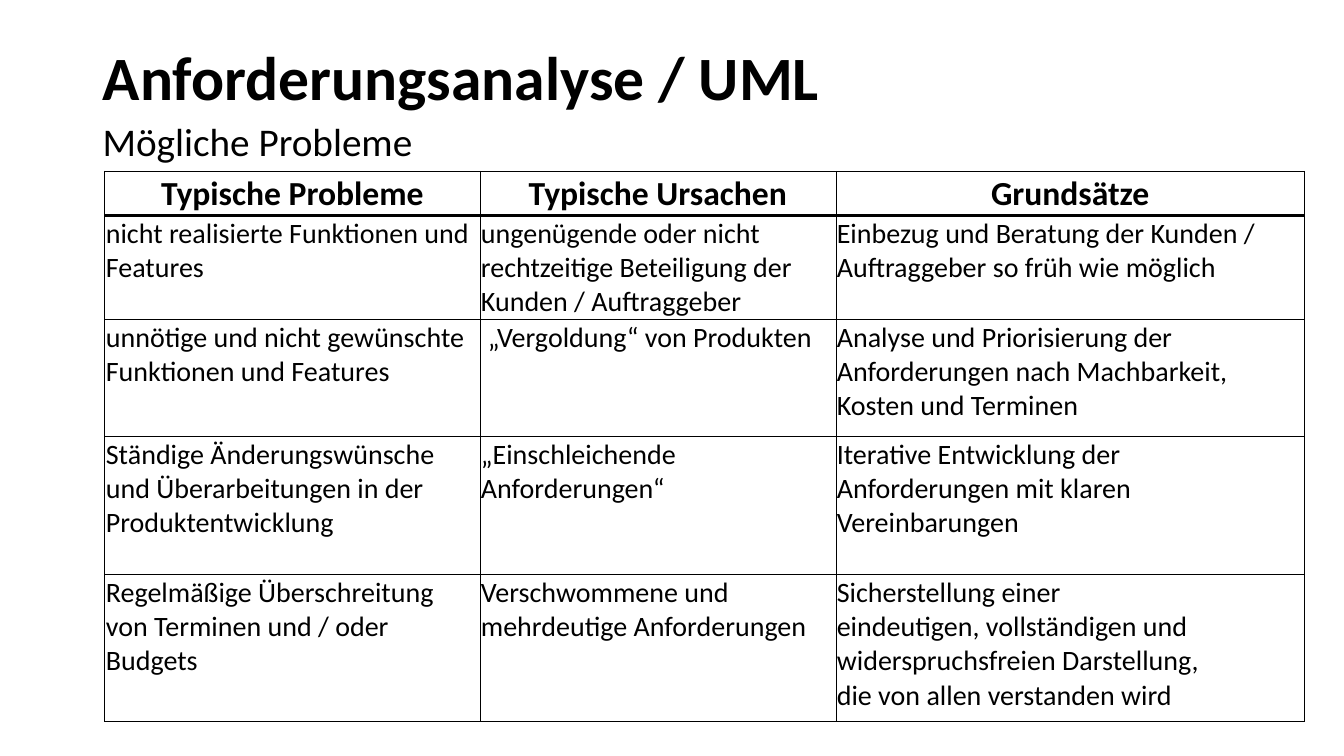
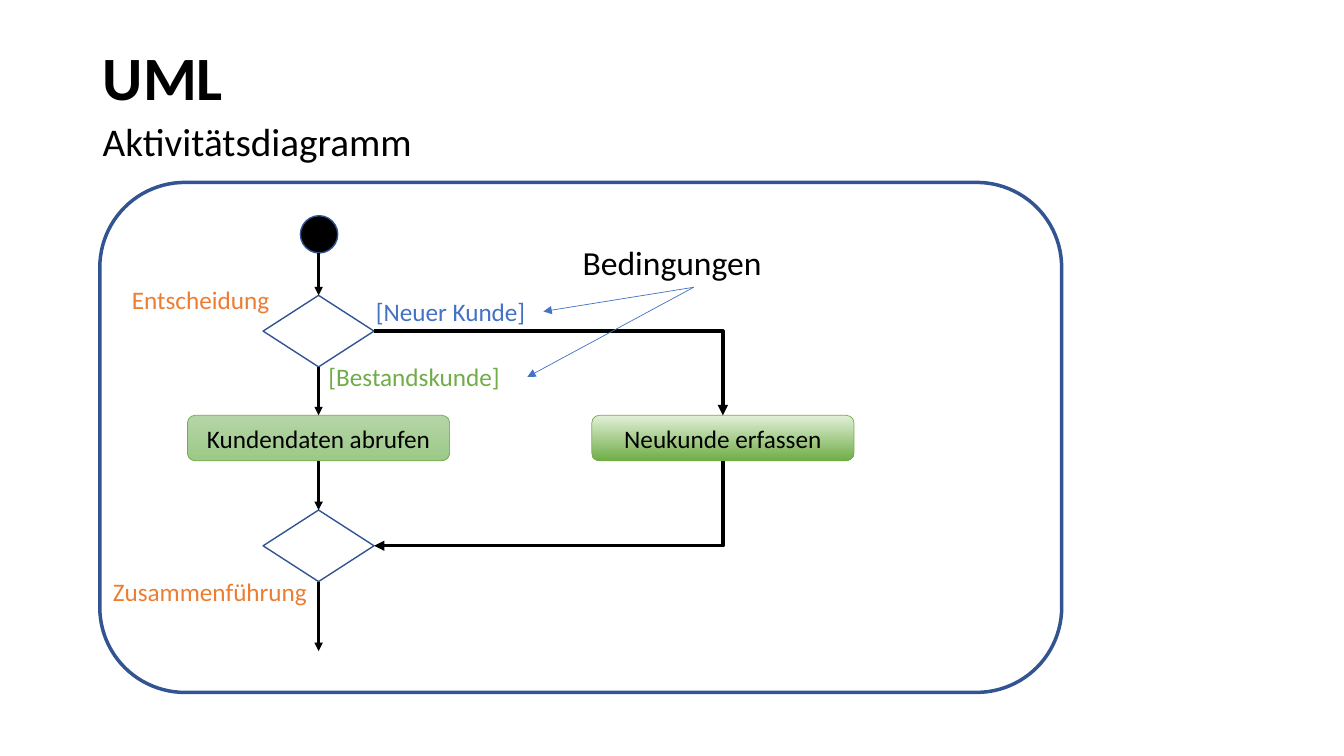
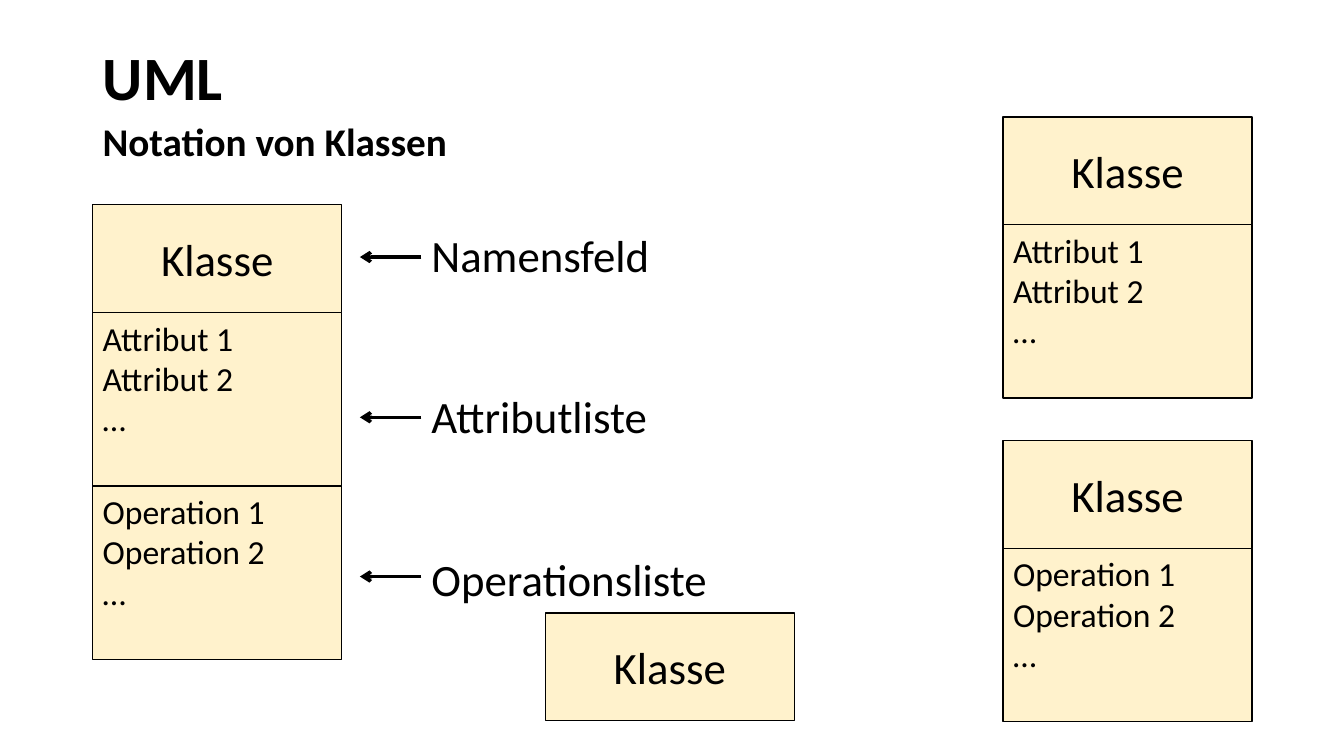
from dataclasses import dataclass
from typing import NamedTuple

from pptx import Presentation
from pptx.dml.color import RGBColor
from pptx.enum import shapes, text
from pptx.oxml.ns import qn
from pptx.util import Pt
from lxml import etree

PX = 9144  # EMU per px, 100 px to the inch


@dataclass(frozen=True)
class Theme:
    font: str = "Calibri"
    ink: str = "000000"
    outline: str = "325491"
    blue: str = "4472C4"
    orange: str = "ED7D31"
    green: str = "70AD47"
    cream: str = "FFF2CC"
    soft_gradient: tuple[str, str] = ("B5D5A7", "9CC987")
    strong_gradient: tuple[str, str] = ("E2F0D9", "70AD47")
    title: int = 44
    large: int = 32
    subtitle: int = 28
    medium: int = 24
    cell: int = 20
    small: int = 18


THEME = Theme()
SHAPE = shapes.MSO_SHAPE
ALIGN = text.PP_ALIGN
ANCHOR = text.MSO_ANCHOR


class Box(NamedTuple):
    left: int
    top: int
    width: int
    height: int

    def emu(self) -> list[int]:
        return [side * PX for side in self]


class Label(NamedTuple):
    wording: str
    box: Box
    color: str = THEME.ink
    size: int = THEME.small


class Arrow(NamedTuple):
    start: tuple[int, int]
    end: tuple[int, int]
    color: str = THEME.ink
    width: float = 2
    head: str = "triangle"


class ClassBox(NamedTuple):
    left: int
    top: int
    members: tuple[str, ...] = ()


class Pointer(NamedTuple):
    wording: str
    label_top: int
    arrow_y: int


# Shared drawing functions
def assign(target, values: dict) -> None:
    for name, value in values.items():
        setattr(target, name, value)


def write(frame, lines: list[str], size: int, color: str = THEME.ink, bold: bool = False,
          align=ALIGN.LEFT, anchor=ANCHOR.TOP, spacing: float = 1.0) -> None:
    assign(frame, {"word_wrap": True, "auto_size": text.MSO_AUTO_SIZE.NONE,
                   "vertical_anchor": anchor})
    fill_paragraphs(frame, lines, size, color, bold, align, spacing)


def fill_paragraphs(frame, lines: list[str], size: int, color: str = THEME.ink,
                    bold: bool = False, align=ALIGN.LEFT, spacing: float = 1.0) -> None:
    frame.text = "\n".join(lines)
    for paragraph in frame.paragraphs:
        assign(paragraph, {"alignment": align, "line_spacing": spacing})
        for run in paragraph.runs:
            assign(run.font, {"name": THEME.font, "size": Pt(size), "bold": bold})
            run.font.color.rgb = RGBColor.from_string(color)


def add_label(slide, label: Label, **layout) -> None:
    caption = slide.shapes.add_textbox(*label.box.emu())
    write(caption.text_frame, [label.wording], label.size, label.color, **layout)


def add_titled_slide(deck, title: str, subtitle: str, bold_subtitle: bool = False):
    slide = deck.slides.add_slide(deck.slide_layouts[5])
    heading = slide.shapes.title
    assign(heading, dict(zip(("left", "top", "width", "height"),
                             Box(92, 40, 1150, 80).emu())))
    write(heading.text_frame, [title], THEME.title, bold=True,
          anchor=ANCHOR.MIDDLE, spacing=0.9)
    add_label(slide, Label(subtitle, Box(92, 120, 1150, 50), size=THEME.subtitle),
              bold=bold_subtitle, spacing=0.8)
    return slide


def add_outlined(slide, kind, box: Box, line: str, width: float, fill: str | None = None):
    shape = slide.shapes.add_shape(kind, *box.emu())
    shape.shadow.inherit = False
    shape.line.color.rgb = RGBColor.from_string(line)
    shape.line.width = Pt(width)
    if fill:
        shape.fill.solid()
        shape.fill.fore_color.rgb = RGBColor.from_string(fill)
    else:
        shape.fill.background()
    return shape


def add_arrow(slide, arrow: Arrow, kind=shapes.MSO_CONNECTOR.STRAIGHT, at_start: bool = False):
    ends = [value * PX for value in (*arrow.start, *arrow.end)]
    connector = slide.shapes.add_connector(kind, *ends)
    connector.line.color.rgb = RGBColor.from_string(arrow.color)
    connector.line.width = Pt(arrow.width)
    tip = "a:headEnd" if at_start else "a:tailEnd"
    etree.SubElement(connector.line._get_or_add_ln(), qn(tip), type=arrow.head)
    etree.SubElement(connector._element.spPr, qn("a:effectLst"))
    return connector


# Slide 1: table of problems
COLUMNS = (372, 353, 465)
ROWS = (44, 103, 116, 137, 146)
PROBLEMS = (
    ("Typische Probleme", "Typische Ursachen", "Grundsätze"),
    ("nicht realisierte Funktionen und Features",
     "ungenügende oder nicht rechtzeitige Beteiligung der Kunden / Auftraggeber",
     "Einbezug und Beratung der Kunden / Auftraggeber so früh wie möglich"),
    ("unnötige und nicht gewünschte Funktionen und Features",
     "„Vergoldung“ von Produkten",
     "Analyse und Priorisierung der Anforderungen nach Machbarkeit, Kosten und Terminen"),
    ("Ständige Änderungswünsche\vund Überarbeitungen in der\vProduktentwicklung",
     "„Einschleichende\vAnforderungen“",
     "Iterative Entwicklung der\vAnforderungen mit klaren\vVereinbarungen"),
    ("Regelmäßige Überschreitung\vvon Terminen und / oder\vBudgets",
     "Verschwommene und\vmehrdeutige Anforderungen",
     "Sicherstellung einer\veindeutigen, vollständigen und\vwiderspruchsfreien Darstellung,\v"
     "die von allen verstanden wird"),
)


def add_border(cell, side: str, width: float) -> None:
    edge = etree.SubElement(cell._tc.get_or_add_tcPr(), qn(f"a:ln{side}"), w=str(Pt(width)))
    solid = etree.SubElement(edge, qn("a:solidFill"))
    etree.SubElement(solid, qn("a:srgbClr"), val=THEME.ink)


def format_cell(cell, wording: str, row: int, column: int) -> None:
    header = row == 0
    assign(cell, {"margin_left": PX, "margin_right": PX, "margin_top": PX, "margin_bottom": 0,
                  "vertical_anchor": ANCHOR.MIDDLE if header else ANCHOR.TOP})
    fill_paragraphs(cell.text_frame, [wording], THEME.medium if header else THEME.cell,
                    bold=header, align=ALIGN.CENTER if header else ALIGN.LEFT)
    widths = {
        "L": 1 if column == 0 else 0.5,
        "R": 1 if column == len(COLUMNS) - 1 else 0.5,
        "T": {0: 1, 1: 2}.get(row, 0.5),
        "B": {0: 2, len(ROWS) - 1: 1}.get(row, 0.5),
    }
    for side, width in widths.items():
        add_border(cell, side, width)
    cell.fill.background()


def build_problems(deck) -> None:
    slide = add_titled_slide(deck, "Anforderungsanalyse / UML", "Mögliche Probleme")
    area = Box(104, 170, sum(COLUMNS), sum(ROWS))
    table = slide.shapes.add_table(len(ROWS), len(COLUMNS), *area.emu()).table
    assign(table, {"first_row": False, "horz_banding": False})
    for column, width in zip(table.columns, COLUMNS):
        column.width = width * PX
    for row, height in zip(table.rows, ROWS):
        row.height = height * PX
    for row, wordings in enumerate(PROBLEMS):
        for column, wording in enumerate(wordings):
            format_cell(table.cell(row, column), wording, row, column)
    table.cell(2, 1).margin_left = 8 * PX


# Slide 2: activity diagram
FLOW_X = 316
FLOW_STEPS = ((251, 293), (364, 412), (457, 506), (577, 646))
NOTES = (
    Label("Entscheidung", Box(121, 277, 177, 40), THEME.orange),
    Label("Zusammenführung", Box(102, 567, 215, 40), THEME.orange),
    Label("[Bestandskunde]", Box(316, 354, 207, 40), THEME.green),
    Label("[Neuer Kunde]", Box(363, 289, 177, 40), THEME.blue),
    Label("Bedingungen", Box(568, 235, 240, 50), size=THEME.medium),
)
CONDITION_ENDS = ((539, 309), (523, 374))


def add_action(slide, wording: str, left: int, gradient: tuple[str, str]):
    action = add_outlined(slide, SHAPE.ROUNDED_RECTANGLE, Box(left, 412, 260, 45),
                          THEME.green, 0.5)
    action.fill.gradient()
    action.fill.gradient_angle = 270
    for stop, color in zip(action.fill.gradient_stops, gradient):
        stop.color.rgb = RGBColor.from_string(color)
    write(action.text_frame, [wording], THEME.small, align=ALIGN.CENTER, anchor=ANCHOR.MIDDLE)
    return action


def add_branch(slide, diamond, action, action_site: int, arrow: Arrow, at_start: bool) -> None:
    branch = add_arrow(slide, arrow, shapes.MSO_CONNECTOR.ELBOW, at_start)
    branch._element.spPr.find(qn("a:prstGeom")).set("prst", "bentConnector2")
    branch.begin_connect(diamond, 3)
    branch.end_connect(action, action_site)


def build_activity(deck) -> None:
    slide = add_titled_slide(deck, "UML", "Aktivitätsdiagramm")
    add_outlined(slide, SHAPE.ROUNDED_RECTANGLE, Box(99, 181, 954, 506), THEME.outline, 2.5)
    decision, merge = (
        add_outlined(slide, SHAPE.FLOWCHART_DECISION, Box(261, top, 110, 71), THEME.outline, 1)
        for top in (293, 506))
    add_outlined(slide, SHAPE.OVAL, Box(298, 214, 37, 37), THEME.outline, 1, THEME.ink)
    add_action(slide, "Kundendaten abrufen", 186, THEME.soft_gradient)
    new_customer = add_action(slide, "Neukunde erfassen", 587, THEME.strong_gradient)
    for top, bottom in FLOW_STEPS:
        add_arrow(slide, Arrow((FLOW_X, top), (FLOW_X, bottom)))
    add_branch(slide, decision, new_customer, 0,
               Arrow((371, 328), (717, 412), width=2.5), at_start=False)
    add_branch(slide, merge, new_customer, 2,
               Arrow((371, 541), (717, 457), width=2.5), at_start=True)
    for note in NOTES:
        add_label(slide, note)
    for end in CONDITION_ENDS:
        add_arrow(slide, Arrow((688, 285), end, THEME.blue, 0.5))


# Slide 3: class notation
CLASS_WIDTH, NAME_HEIGHT, LIST_HEIGHT = 247, 107, 172
CLASSES = (
    ClassBox(92, 203, ("Attribut", "Operation")),
    ClassBox(541, 608),
    ClassBox(995, 116, ("Attribut",)),
    ClassBox(995, 437, ("Operation",)),
)
POINTERS = (
    Pointer("Namensfeld", 221, 255),
    Pointer("Attributliste", 381, 414),
    Pointer("Operationsliste", 542, 572),
)


def add_class(slide, box: ClassBox) -> None:
    name = add_outlined(slide, SHAPE.RECTANGLE, Box(box.left, box.top, CLASS_WIDTH, NAME_HEIGHT),
                        THEME.ink, 1, THEME.cream)
    write(name.text_frame, ["Klasse"], THEME.large, align=ALIGN.CENTER, anchor=ANCHOR.MIDDLE)
    for index, member in enumerate(box.members):
        top = box.top + NAME_HEIGHT + index * LIST_HEIGHT
        members = add_outlined(slide, SHAPE.RECTANGLE,
                               Box(box.left, top, CLASS_WIDTH, LIST_HEIGHT),
                               THEME.ink, 1, THEME.cream)
        write(members.text_frame, [f"{member} 1", f"{member} 2", "…"], THEME.medium)


def build_classes(deck) -> None:
    slide = add_titled_slide(deck, "UML", "Notation von Klassen", bold_subtitle=True)
    for box in CLASSES:
        add_class(slide, box)
    for pointer in POINTERS:
        add_label(slide, Label(pointer.wording, Box(418, pointer.label_top, 309, 64),
                               size=THEME.large))
        add_arrow(slide, Arrow((418, pointer.arrow_y), (357, pointer.arrow_y),
                               width=2.5, head="arrow"))


def main() -> None:
    deck = Presentation()
    assign(deck, {"slide_width": 1333 * PX, "slide_height": 750 * PX})
    for build in (build_problems, build_activity, build_classes):
        build(deck)
    deck.save("out.pptx")


if __name__ == "__main__":
    main()
